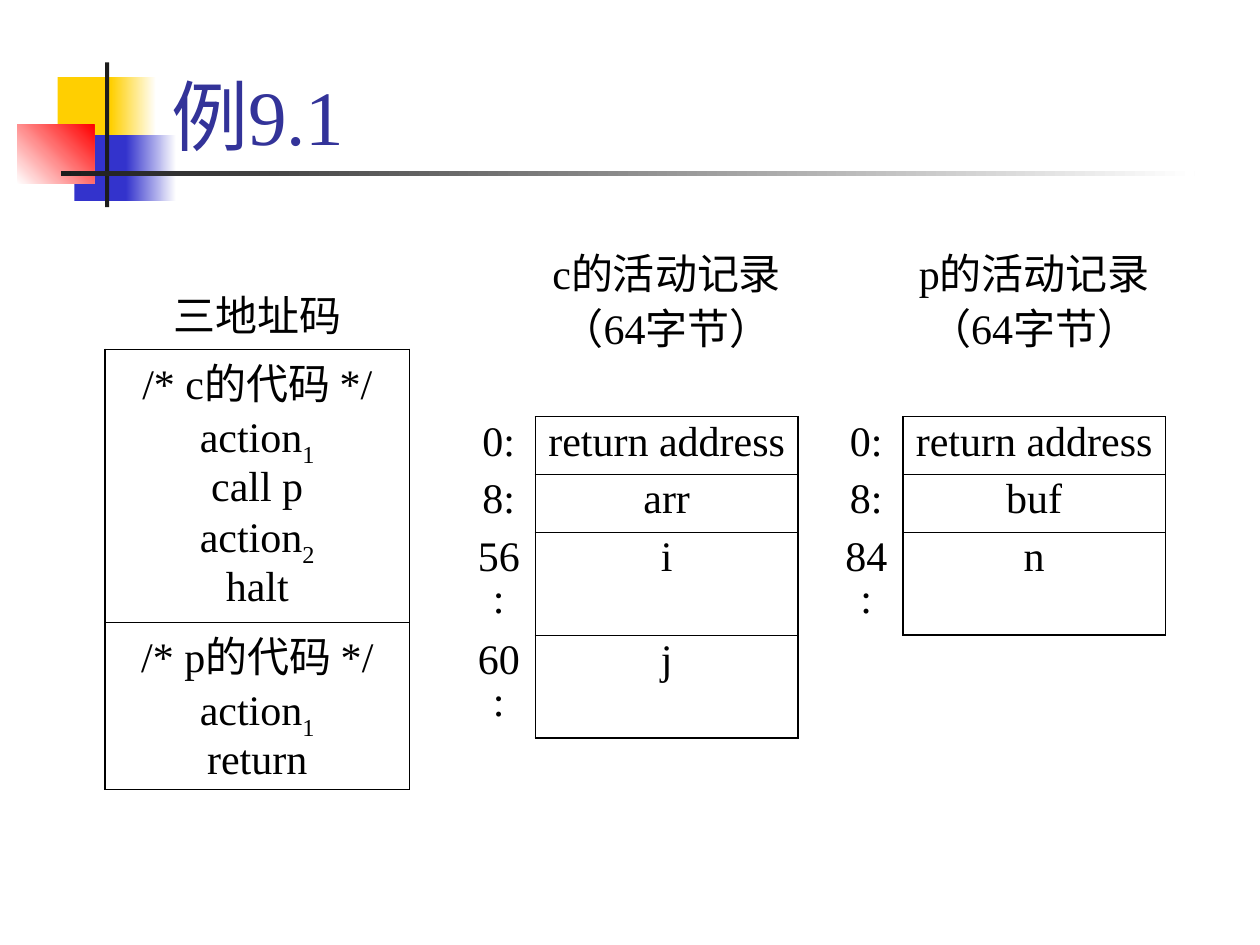
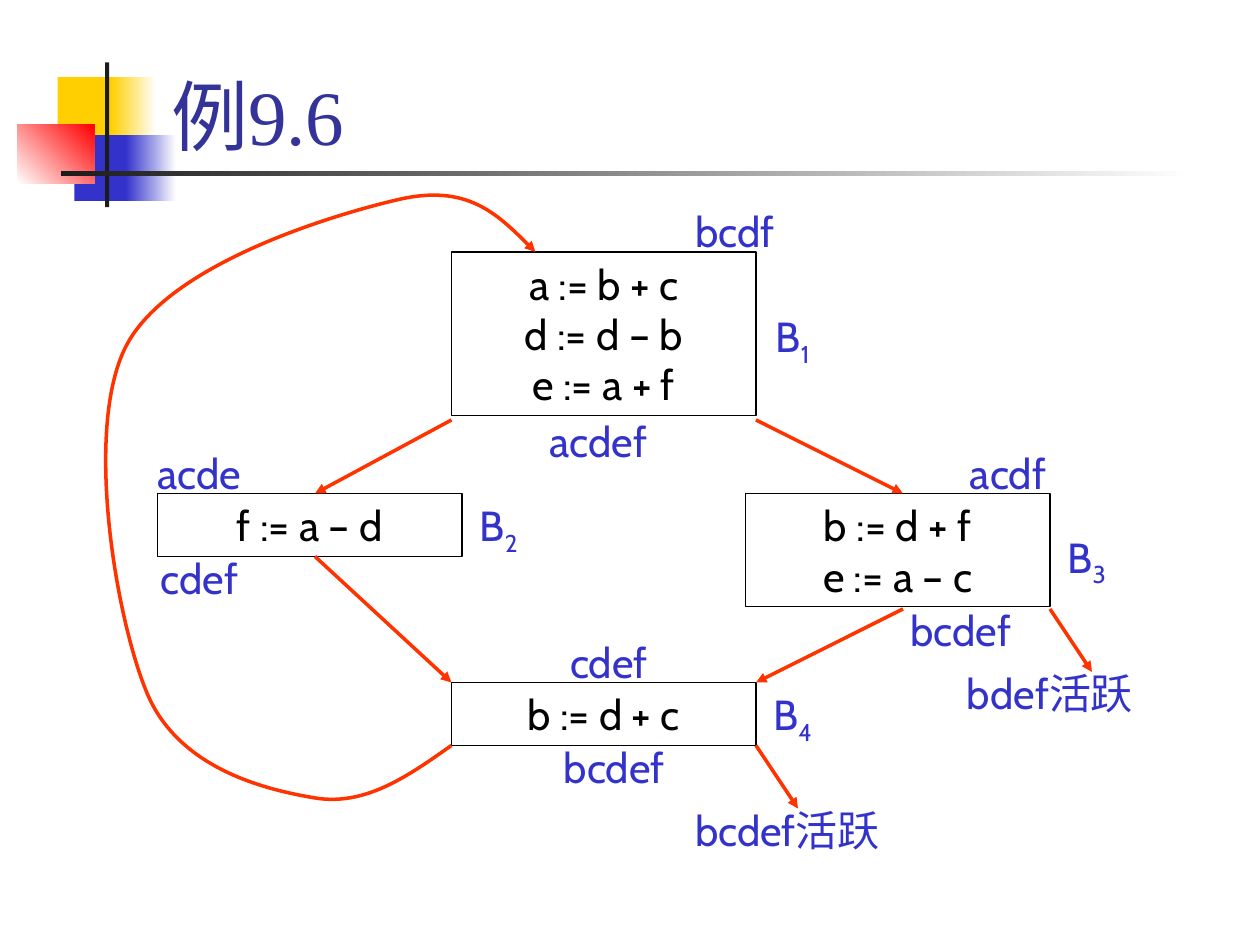
from collections import namedtuple

from lxml import etree
from pptx import Presentation
from pptx.dml.color import RGBColor
from pptx.enum.shapes import MSO_CONNECTOR, MSO_SHAPE
from pptx.enum.text import MSO_ANCHOR, MSO_AUTO_SIZE, PP_ALIGN
from pptx.oxml.ns import qn
from pptx.util import Emu, Inches, Pt

RECTANGLE, STRAIGHT = MSO_SHAPE.RECTANGLE, MSO_CONNECTOR.STRAIGHT
CENTER, LEFT = PP_ALIGN.CENTER, PP_ALIGN.LEFT
TOP, BOTTOM = MSO_ANCHOR.TOP, MSO_ANCHOR.BOTTOM
GROW, FIXED = MSO_AUTO_SIZE.SHAPE_TO_FIT_TEXT, MSO_AUTO_SIZE.NONE

# The slide is a grid of 120 columns by 90 rows, each 1/12 inch
COLUMNS, ROWS = 120, 90
UNIT = Inches(1) / 12
Box = namedtuple("Box", "left top width height")
PAGE = Box(0, 0, COLUMNS, ROWS)

BLACK, WHITE, INK = "000000", "FFFFFF", "1C1C1C"
YELLOW, BLUE, RED = "FFCF01", "3333CC", "FF0000"
TITLE_COLOR, ARROW_COLOR = "333399", "FF3300"
SERIF, SANS = "Times New Roman", "Cabin"
NO_TABLE_STYLE = "{2D5ABB26-0587-4C30-8999-92F81FD0307C}"
THIN, THICK = 0.45, 1.08

TITLE_FORMAT = {"size": Pt(44), "name": SERIF, "color": TITLE_COLOR}
TABLE_FORMAT = {"size": Pt(24), "name": SERIF, "color": BLACK}
CODE_FORMAT = {"size": Pt(24), "name": SANS, "color": BLACK}
LABEL_FORMAT = {"size": Pt(24), "name": SANS, "color": BLUE}
TABLE_SPACING = {"alignment": CENTER, "line_spacing": 0.9, "space_before": Pt(3)}
FLOW_SPACING = {"alignment": CENTER, "space_before": Pt(15)}


def color(value):
    return RGBColor.from_string(value)


def grid(*lengths):
    return [Emu(round(length * UNIT)) for length in lengths]


def inside(box, left, top, width, height):
    return Box(box.left + left, box.top + top, width, height)


def set_all(target, values):
    for name, value in values.items():
        setattr(target, name, value)


# Text: "_" before a digit makes it a subscript, "\n" breaks the line
def add_span(para, text, text_format, baseline=None):
    span = para.add_run()
    span.text = text
    for name, value in text_format.items():
        if name == "color":
            span.font.color.rgb = color(value)
        else:
            setattr(span.font, name, value)
    if baseline:
        span._r.get_or_add_rPr().set("baseline", baseline)


def write_para(para, text, text_format, spacing):
    set_all(para, spacing)
    for number, line in enumerate(text.split("\n")):
        if number:
            para.add_line_break()
        main, _, subscript = line.partition("_")
        add_span(para, main, text_format)
        if subscript:
            add_span(para, subscript, text_format, "-25000")


def write_paras(frame, texts, text_format, spacing):
    for number, text in enumerate(texts):
        para = frame.add_paragraph() if number else frame.paragraphs[0]
        write_para(para, text, text_format, spacing)


def add_text(page, box, text, text_format, spacing, anchor=TOP, fit=GROW):
    text_box = page.shapes.add_textbox(*grid(*box))
    set_all(text_box.text_frame,
            {"word_wrap": True, "auto_size": fit, "vertical_anchor": anchor})
    write_paras(text_box.text_frame, [text], text_format, spacing)


# Shapes and lines
def add_rectangle(page, box, colors=(), angle=0):
    shape = page.shapes.add_shape(RECTANGLE, *grid(*box))
    shape.shadow.inherit = False
    shape.line.fill.background()
    if not colors:
        shape.fill.background()
    elif len(colors) == 1:
        shape.fill.solid()
        shape.fill.fore_color.rgb = color(colors[0])
    else:
        shape.fill.gradient()
        shape.fill.gradient_angle = angle
        for stop, value in zip(shape.fill.gradient_stops, colors):
            stop.color.rgb = color(value)
    return shape


def style_arrow(line):
    line.color.rgb = color(ARROW_COLOR)
    line.width = Pt(2)
    etree.SubElement(line._get_or_add_ln(), qn("a:tailEnd"), type="triangle")


def add_arrow(page, start, end):
    arrow = page.shapes.add_connector(STRAIGHT, *grid(*start, *end))
    style_arrow(arrow.line)
    etree.SubElement(arrow._element.spPr, qn("a:effectLst"))


def add_curved_arrow(page, start, points):
    builder = page.shapes.build_freeform(*grid(*start), scale=1.0)
    builder.add_line_segments([grid(*point) for point in points], close=False)
    curve = builder.convert_to_shape()
    curve.shadow.inherit = False
    curve.fill.background()
    style_arrow(curve.line)
    # Every three straight segments become one cubic curve
    segments = list(curve._element.iter(qn("a:lnTo")))
    for first in range(0, len(segments), 3):
        group = segments[first:first + 3]
        cubic = etree.Element(qn("a:cubicBezTo"))
        group[0].addprevious(cubic)
        for segment in group:
            cubic.append(segment[0])
            segment.getparent().remove(segment)


# Title and corner ornament shared by the slides
def add_ornament(page, box):
    parts = [
        ((3.87, 1.42, 5.75, 6.25), [YELLOW], 0),
        ((8.95, 1.42, 4.3, 6.25), [YELLOW, WHITE], 0),
        ((5.45, 6.95, 5.5, 6.25), [BLUE], 0),
        ((10.37, 6.95, 4.8, 6.25), [BLUE, WHITE], 0),
        ((0, 5.95, 7.35, 5.6), [WHITE, RED], 45),
        ((8.37, 0, 0.4, 13.8), [INK], 0),
        ((4.15, 10.4, 108, 0.4), [INK, WHITE], 0),
    ]
    for place, colors, angle in parts:
        add_rectangle(page, inside(box, *place), colors, angle)


def start_page(deck, title):
    page = deck.slides.add_slide(deck.slide_layouts[6])
    add_ornament(page, inside(PAGE, 1.63, 5.93, 114, 14))
    add_text(page, inside(PAGE, 15.12, 0.96, 102.2, 15), title,
             TITLE_FORMAT, {"alignment": LEFT}, BOTTOM, FIXED)
    return page


# Memory layout tables: a heading above outlined cells
def add_border(cell, widths):
    properties = cell._tc.get_or_add_tcPr()
    for position, (side, width) in enumerate(widths.items()):
        line = etree.Element(qn("a:ln" + side), w=str(Pt(width)))
        fill = etree.SubElement(line, qn("a:solidFill"))
        etree.SubElement(fill, qn("a:srgbClr"), val=BLACK)
        properties.insert(position, line)


def add_memory_table(page, box, widths, heights, rows):
    frame = page.shapes.add_table(len(rows), len(widths), *grid(*box))
    table = frame.table
    set_all(table, {"first_row": False, "horz_banding": False})
    table._tbl.tblPr.find(qn("a:tableStyleId")).text = NO_TABLE_STYLE
    for column, width in zip(table.columns, grid(*widths)):
        column.width = width
    for row, height in zip(table.rows, grid(*heights)):
        row.height = height
    last_row, last_column = len(rows) - 1, len(widths) - 1
    for row_number, row in enumerate(rows):
        for column_number, texts in enumerate(row):
            cell = table.cell(row_number, column_number)
            cell.fill.background()
            write_paras(cell.text_frame, texts, TABLE_FORMAT, TABLE_SPACING)
            if row_number and column_number == last_column:
                bottom = THICK if row_number == last_row else THIN
                add_border(cell, {"L": THICK, "R": THICK, "T": THIN, "B": bottom})


def add_code_table(page, box):
    rows = [
        [["三地址码"]],
        [["/* c的代码 */", "action_1", "call p", "action_2", "halt"]],
        [["/* p的代码 */", "action_1", "return"]],
    ]
    add_memory_table(page, box, [box.width], [5.5, 26, 15.8], rows)


def add_record_table(page, box, procedure, fields):
    rows = [[[], [f"{procedure}的活动记录\n（64字节）"]]]
    rows += [[[f"{offset}:"], [name]] for offset, name in fields]
    heights = [14.2, 5.5, 5.5, 9.8, 9.8][:len(rows)]
    add_memory_table(page, box, [7, box.width - 7], heights, rows)


def build_records_page(deck):
    page = start_page(deck, "例9.1")
    add_code_table(page, inside(PAGE, 10, 26.8, 29, 47.3))
    add_record_table(page, inside(PAGE, 44, 22.8, 32, 44.8), "c",
                     [(0, "return address"), (8, "arr"), (56, "i"), (60, "j")])
    add_record_table(page, inside(PAGE, 79, 22.8, 32, 35), "p",
                     [(0, "return address"), (8, "buf"), (84, "n")])


# Flow graph: blocks, block names, live variables and arrows
def add_block(page, box, name, name_drop, code):
    block = add_rectangle(page, box)
    block.line.color.rgb = color(BLACK)
    block.line.width = Pt(0.75)
    set_all(block.text_frame,
            {"word_wrap": True, "auto_size": GROW, "vertical_anchor": TOP})
    write_paras(block.text_frame, [code], CODE_FORMAT, FLOW_SPACING)
    add_text(page, inside(box, box.width, name_drop, 7, 6.7), name,
             LABEL_FORMAT, FLOW_SPACING)


def add_flow_graph(page, box):
    blocks = [
        ((35, 5, 29, 15.6), "B_1", 5, "a := b + c\nd := d – b\ne := a + f"),
        ((7, 28, 29, 6), "B_2", 0, "f := a – d"),
        ((63, 28, 29, 10.8), "B_3", 3, "b := d + f\ne := a – c"),
        ((35, 46, 29, 6), "B_4", 0, "b := d + c"),
    ]
    for place, name, name_drop, code in blocks:
        add_block(page, inside(box, *place), name, name_drop, code)

    live_variables = [
        ("bcdf", 56, 0, 12), ("acdef", 43, 20, 12),
        ("acde", 5, 23, 12), ("cdef", 6, 33, 10),
        ("acdf", 82, 23, 12), ("bcdef", 77, 38, 13),
        ("cdef", 44, 41, 12), ("bcdef", 44, 51, 13),
        ("bdef活跃", 82, 44, 20), ("bcdef活跃", 54, 57, 26),
    ]
    for text, left, top, width in live_variables:
        add_text(page, inside(box, left, top, width, 6), text,
                 LABEL_FORMAT, FLOW_SPACING)

    def at(x, y):
        return box.left + x, box.top + y

    arrows = [
        ((35, 21), (22, 28)), ((64, 21), (78, 28)), ((22, 34), (35, 46)),
        ((78, 39), (64, 46)), ((92, 39), (96, 45)), ((64, 52), (68, 58)),
    ]
    for start, end in arrows:
        add_arrow(page, at(*start), at(*end))

    loop = [
        (30.9, 54.9), (26.8, 57.8), (22, 57),
        (17.2, 56.2), (9, 54.2), (6, 47),
        (3, 39.8), (0, 21.8), (4, 14),
        (8, 6.2), (23.5, 1.5), (30, 0),
        (36.5, -1.5), (39.8, 1.8), (43, 5),
    ]
    add_curved_arrow(page, at(35, 52), [at(*point) for point in loop])


def build_flow_page(deck):
    page = start_page(deck, "例9.6")
    add_flow_graph(page, inside(PAGE, 8, 19, 102, 63))


def main():
    deck = Presentation()
    deck.slide_width, deck.slide_height = grid(COLUMNS, ROWS)
    build_records_page(deck)
    build_flow_page(deck)
    deck.save("out.pptx")


if __name__ == "__main__":
    main()
